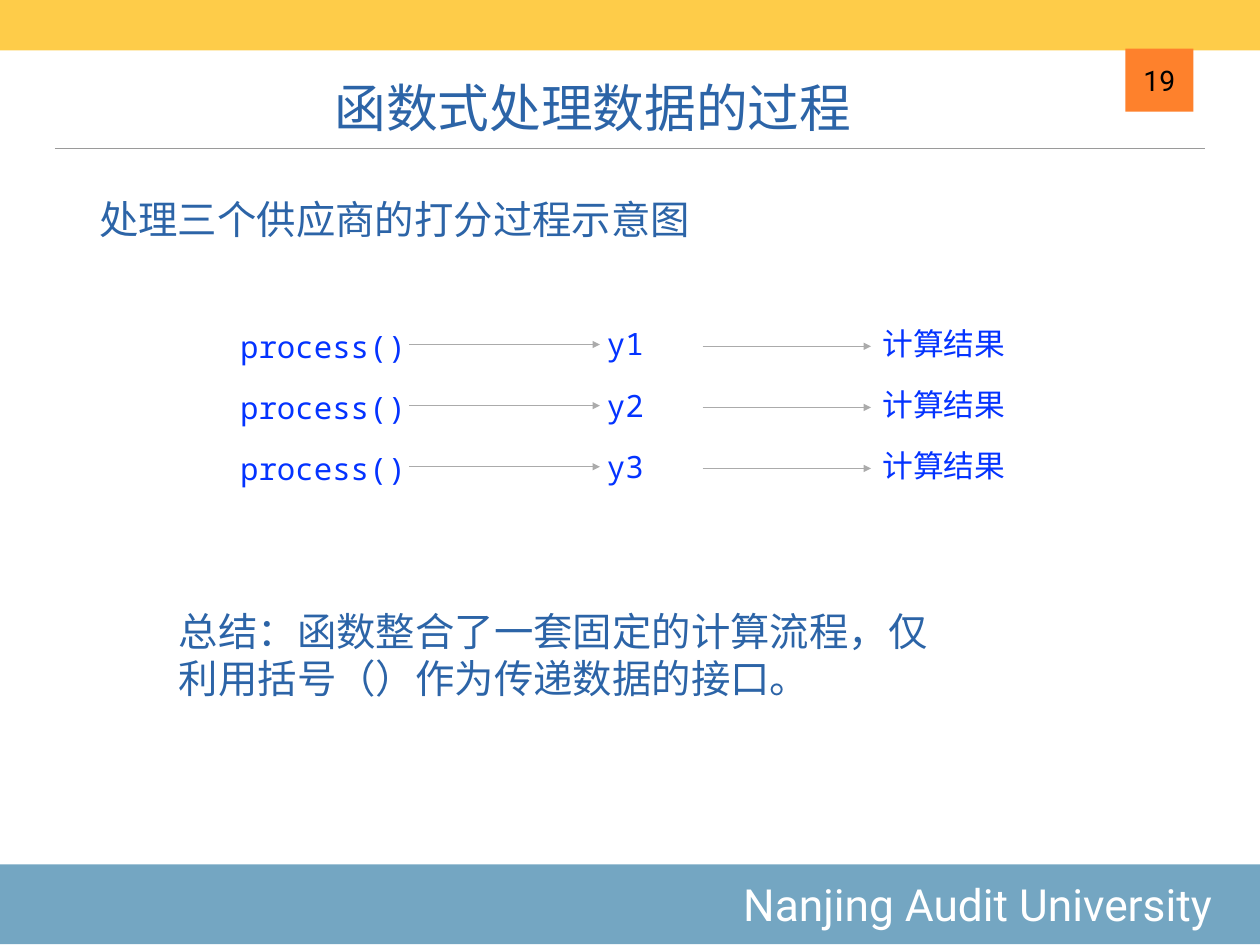
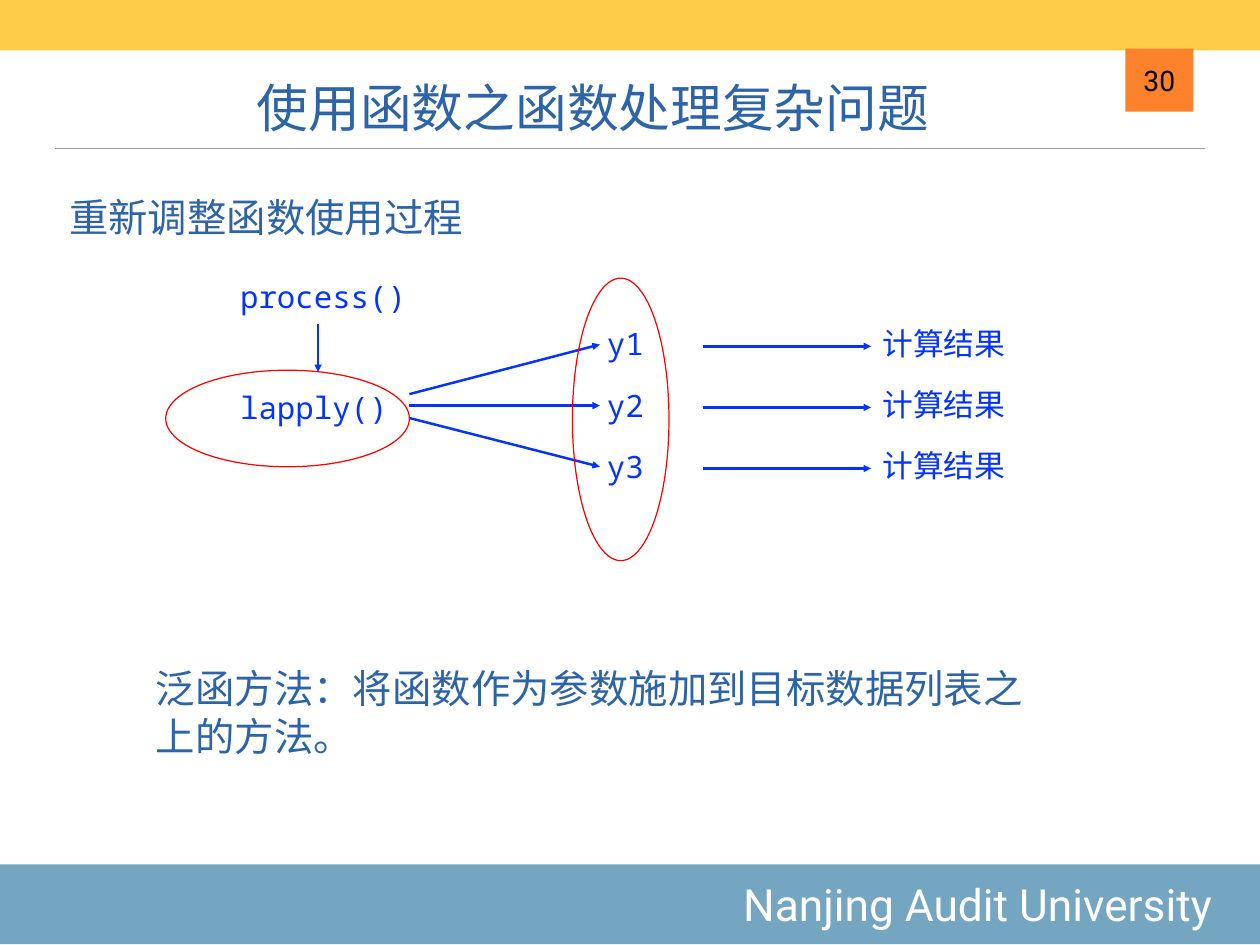
from pptx import Presentation
from pptx.dml.color import RGBColor
from pptx.enum.shapes import MSO_CONNECTOR, MSO_SHAPE
from pptx.enum.text import MSO_ANCHOR, PP_ALIGN
from pptx.oxml.ns import qn
from pptx.util import Inches, Pt
from lxml.etree import SubElement

SLIDE_WIDTH, SLIDE_HEIGHT = 14.22, 10.67
INSET = 0.06
TITLE_FONT, BODY_FONT = "Roboto", "Noto Sans Mono"

WHITE = RGBColor(0xFF, 0xFF, 0xFF)
BLACK = RGBColor(0, 0, 0)
YELLOW = RGBColor(0xFE, 0xCC, 0x49)
ORANGE = RGBColor(0xFE, 0x81, 0x2C)
FOOTER_BLUE = RGBColor(0x74, 0xA6, 0xC2)
TEXT_BLUE = RGBColor(0x2C, 0x64, 0xA7)
CODE_BLUE = RGBColor(0x04, 0x33, 0xFF)
RULE_GRAY = RGBColor(0x9A, 0x9A, 0x9A)
ARROW_GRAY = RGBColor(0xAB, 0xAB, 0xAB)
RED = RGBColor(0xFF, 0, 0)

# Diagram columns and rows, relative to the diagram's left edge and first row
DIAGRAM = (2.65, 3.89)
ROW_PITCH = 0.69
CALL_WIDTH, CALL_END = 2.09, 1.97
ARGUMENT_LEFT, RESULT_LEFT = 4.14, 7.25
RESULT_ARROW = (5.28, 7.18)


def write(shape, text, size=25, font=BODY_FONT, color=CODE_BLUE,
          align=PP_ALIGN.LEFT, anchor=MSO_ANCHOR.MIDDLE, right_inset=INSET):
    frame = shape.text_frame
    frame.word_wrap = True
    frame.vertical_anchor = anchor
    frame.margin_left = frame.margin_top = frame.margin_bottom = Inches(INSET)
    frame.margin_right = Inches(right_inset)
    paragraph = frame.paragraphs[0]
    paragraph.alignment = align
    run = paragraph.add_run()
    run.text = text
    run.font.size = Pt(size)
    run.font.name = font
    run.font.color.rgb = color
    # Chinese characters take the same font
    SubElement(run.font._element, qn("a:ea"), typeface=font)


def add_text(slide, box, text, **text_format):
    write(slide.shapes.add_textbox(*map(Inches, box)), text, **text_format)


def add_block(slide, box, fill=None, line=None, kind=MSO_SHAPE.RECTANGLE):
    shape = slide.shapes.add_shape(kind, *map(Inches, box))
    shape.shadow.inherit = False
    if fill is None:
        shape.fill.background()
    else:
        shape.fill.solid()
        shape.fill.fore_color.rgb = fill
    if line is None:
        shape.line.fill.background()
    else:
        shape.line.color.rgb = line
        shape.line.width = Pt(1)
    return shape


def add_line(slide, start, end, color, width=1, arrow=True):
    connector = slide.shapes.add_connector(
        MSO_CONNECTOR.STRAIGHT, *map(Inches, (*start, *end)))
    connector.line.color.rgb = color
    connector.line.width = Pt(width)
    if arrow:
        SubElement(connector.line._get_or_add_ln(), qn("a:tailEnd"), type="triangle")
    SubElement(connector._element.spPr, qn("a:effectLst"))


def add_frame(presentation, title, number):
    """Blank slide with the shared bands, page number, rule and title."""
    slide = presentation.slides.add_slide(presentation.slide_layouts[6])
    add_line(slide, (0.62, 1.68), (13.6, 1.68), RULE_GRAY, arrow=False)
    footer = add_block(slide, (0, 9.76, SLIDE_WIDTH, 0.9), FOOTER_BLUE)
    write(footer, "Nanjing Audit University", size=36, font=TITLE_FONT,
          color=WHITE, align=PP_ALIGN.RIGHT, right_inset=0.54)
    add_block(slide, (0, 0, SLIDE_WIDTH, 0.57), YELLOW)
    page_tab = add_block(slide, (12.7, 0.55, 0.77, 0.71), ORANGE)
    write(page_tab, str(number), size=23, font=TITLE_FONT, color=BLACK,
          align=PP_ALIGN.CENTER)
    add_text(slide, (0.83, 0.62, 11.72, 1), title, size=42, font=TITLE_FONT,
             color=TEXT_BLUE, align=PP_ALIGN.CENTER, anchor=MSO_ANCHOR.BOTTOM)
    return slide


def add_call(slide, left, row_y, text):
    add_text(slide, (left, row_y - 0.25, CALL_WIDTH, 0.54), text)


def add_results(slide, origin, color, width):
    """Three arguments, each with an arrow to its result; gives the row heights."""
    left, top = origin
    rows = [top + index * ROW_PITCH for index in range(3)]
    for number, y in enumerate(rows, 1):
        add_text(slide, (left + ARGUMENT_LEFT, y - 0.28, 1.06, 0.54), f"y{number}")
        add_text(slide, (left + RESULT_LEFT, y - 0.32, 1.68, 0.61), "计算结果")
        start, end = (left + offset for offset in RESULT_ARROW)
        add_line(slide, (start, y + 0.02), (end, y + 0.02), color, width)
    return rows


def add_separate_calls(slide, origin):
    left = origin[0]
    for y in add_results(slide, origin, ARROW_GRAY, 1):
        add_call(slide, left, y, "process()")
        add_line(slide, (left + CALL_END, y), (left + ARGUMENT_LEFT - 0.02, y), ARROW_GRAY)


def add_list_call(slide, origin):
    left, top = origin
    rows = add_results(slide, origin, CODE_BLUE, 2)
    middle = rows[1]
    # One call fans out to every argument
    for y, spread in zip(rows, (-0.13, 0, 0.14)):
        add_line(slide, (left + CALL_END, middle + spread),
                 (left + ARGUMENT_LEFT - 0.02, y), CODE_BLUE, 2)
    add_call(slide, left, middle, "lapply()")
    # The function passed in from above
    add_call(slide, left, top - 0.57, "process()")
    add_line(slide, (left + 0.94, top - 0.23), (left + 0.94, top + 0.31), CODE_BLUE, 2)
    # Rings around the call and the argument list
    for ring in ((left - 0.78, top + 0.29, 2.75, 1.09),
                 (left + 3.81, top - 0.75, 1.09, 3.19)):
        add_block(slide, ring, line=RED, kind=MSO_SHAPE.OVAL)


def add_process_slide(presentation, title, number, heading, heading_at,
                      diagram, summary, summary_box):
    slide = add_frame(presentation, title, number)
    add_text(slide, (*heading_at, 8, 0.65), heading, size=32, color=TEXT_BLUE)
    diagram(slide, DIAGRAM)
    add_text(slide, summary_box, summary, size=32, color=TEXT_BLUE)


presentation = Presentation()
presentation.slide_width = Inches(SLIDE_WIDTH)
presentation.slide_height = Inches(SLIDE_HEIGHT)
add_process_slide(
    presentation, "函数式处理数据的过程", 19,
    "处理三个供应商的打分过程示意图", (1.06, 2.15), add_separate_calls,
    "总结：函数整合了一套固定的计算流程，仅利用括号（）作为传递数据的接口。",
    (1.96, 6.79, 8.99, 1.19))
add_process_slide(
    presentation, "使用函数之函数处理复杂问题", 30,
    "重新调整函数使用过程", (0.72, 2.12), add_list_call,
    "泛函方法：将函数作为参数施加到目标数据列表之上的方法。",
    (1.7, 7.44, 9.94, 1.19))
presentation.save("out.pptx")
